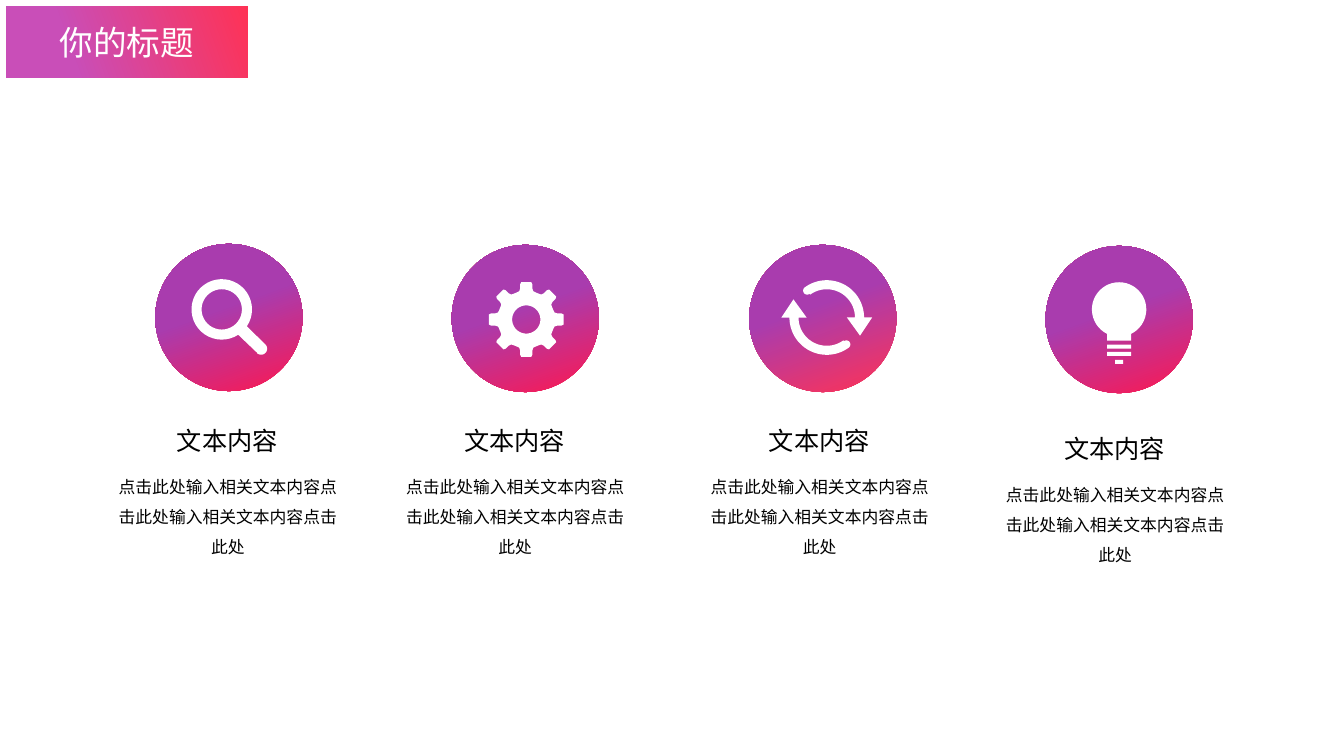
import math

from lxml import etree
from pptx import Presentation
from pptx import util as u
from pptx.dml.color import RGBColor
from pptx.enum import shapes, text
from pptx.oxml.ns import qn

WHITE = RGBColor(0xFF, 0xFF, 0xFF)
BLACK = RGBColor(0x00, 0x00, 0x00)
CORAL = RGBColor(0xFF, 0x32, 0x55)
CRIMSON = RGBColor(0xFD, 0x18, 0x50)
PURPLE = RGBColor(0xA9, 0x3C, 0xAE)
ORCHID = RGBColor(0xC9, 0x4E, 0xB8)

TITLE = "你的标题"
HEADING = "文本内容"
BODY = "点击此处输入相关文本内容点击此处输入相关文本内容点击此处"


def arc(center, radius, start, end, steps=40):
    angles = [math.radians(start + (end - start) * i / steps) for i in range(steps + 1)]
    return [(center[0] + radius * math.cos(a), center[1] + radius * math.sin(a))
            for a in angles]


def rotate(points, center, degrees):
    cos, sin = math.cos(math.radians(degrees)), math.sin(math.radians(degrees))
    return [(center[0] + x * cos - y * sin, center[1] + x * sin + y * cos)
            for x, y in points]


class SlideBuilder:
    """Draws styled elements on the current slide."""

    font = "Noto Sans CJK SC"

    def __init__(self, slide):
        self.slide = slide

    def gradient(self, shape, accent, base, stops):
        shape.fill.gradient()
        shape.fill.gradient_angle = 200
        stop_list = shape._element.spPr.find(qn("a:gradFill")).find(qn("a:gsLst"))
        for stop in list(stop_list):
            stop_list.remove(stop)
        for percent, color in zip((0, *stops), (accent, base, base)):
            stop = etree.SubElement(stop_list, qn("a:gs"), pos=str(percent * 1000))
            etree.SubElement(stop, qn("a:srgbClr"), val=str(color))

    def set_text(self, frame, words, size, color, spacing=1.0):
        frame.text = words
        para = frame.paragraphs[0]
        para.alignment = text.PP_ALIGN.CENTER
        para.line_spacing = spacing
        for span in para.runs:
            span.font.size = u.Pt(size)
            span.font.color.rgb = color
            span.font.name = self.font
            etree.SubElement(span._r.get_or_add_rPr(), qn("a:ea"), typeface=self.font)

    def title(self, words, left, top, width, height):
        box = self.slide.shapes.title
        box.left, box.top = u.Inches(left), u.Inches(top)
        box.width, box.height = u.Inches(width), u.Inches(height)
        self.gradient(box, CORAL, ORCHID, (73, 83))
        box.text_frame.vertical_anchor = text.MSO_ANCHOR.MIDDLE
        self.set_text(box.text_frame, words, 24, WHITE)

    def textbox(self, words, left, top, width, height, size, wrap, spacing=1.0):
        box = self.slide.shapes.add_textbox(*map(u.Inches, (left, top, width, height)))
        box.text_frame.word_wrap = wrap
        box.text_frame.auto_size = text.MSO_AUTO_SIZE.SHAPE_TO_FIT_TEXT
        self.set_text(box.text_frame, words, size, BLACK, spacing)

    def shape(self, kind, left, top, width, height):
        shape = self.slide.shapes.add_shape(
            kind, *map(u.Inches, (left, top, width, height)))
        return self.plain(shape)

    def plain(self, shape):
        shape.shadow.inherit = False
        shape.line.fill.background()
        shape.fill.solid()
        shape.fill.fore_color.rgb = WHITE
        return shape

    def disc(self, left, top, accent, stops):
        disc = self.shape(shapes.MSO_SHAPE.OVAL, left, top, 1.46, 1.46)
        disc.rotation = 90
        self.gradient(disc, accent, PURPLE, stops)

    def outline(self, *contours):
        contours = [[(u.Inches(x), u.Inches(y)) for x, y in points] for points in contours]
        builder = self.slide.shapes.build_freeform(*contours[0][0])
        for index, points in enumerate(contours):
            if index:
                builder.move_to(*points[0])
            builder.add_line_segments(points[1:], close=True)
        return self.plain(builder.convert_to_shape())

    def group(self, parts):
        self.slide.shapes.add_group_shape(parts)

    def magnifier(self):
        lens = (2.2, 3.07)
        handle = [(2.55, 3.5), *arc((2.59, 3.46), 0.06, 130, -45, 12)]
        self.outline(arc(lens, 0.3, 34, -303) + handle, arc(lens, 0.2, 0, 360))

    def gear(self):
        center = (5.22, 3.17)
        half = [(-0.09, -0.27), (-0.07, -0.28), (-0.06, -0.31), (-0.06, -0.35),
                (-0.05, -0.37), (-0.03, -0.37)]
        tooth = half + [(-x, y) for x, y in reversed(half)]
        rim = [point for i in range(8) for point in rotate(tooth, center, 45 * i)]
        self.outline(rim, arc(center, 0.14, 0, 360))

    def cycle(self):
        center, outer, middle, inner = (8.2, 3.15), 0.37, 0.33, 0.28
        cap = arc((0, 0), middle, 54, 54, 1)[0]
        arrow = (arc((0, 0), outer, 180, 54)
                 + arc(cap, 0.04, 54, -126, 12)
                 + arc((0, 0), inner, 54, 180)
                 + [(-0.2, 0), (-0.33, -0.18), (-0.45, 0)])
        self.group([self.outline(rotate(arrow, center, turn)) for turn in (0, 180)])

    def bulb(self):
        bars = [(11.06, 3.57, 0.08), (10.98, 3.42, 0.24), (10.98, 3.49, 0.24)]
        parts = [self.shape(shapes.MSO_SHAPE.RECTANGLE, left, top, width, 0.04)
                 for left, top, width in bars]
        glass = arc((11.1, 3.07), 0.27, 64, -244)
        parts.append(self.outline(glass + [(10.98, 3.38), (11.22, 3.38)]))
        self.group(parts)

    def caption(self, left, top):
        self.textbox(BODY, left, top + 0.41, 2.42, 0.97, 12, True, 1.5)
        self.textbox(HEADING, left + 0.6, top, 1.21, 0.4, 18, False)


def main():
    deck = Presentation()
    deck.slide_width, deck.slide_height = u.Inches(13.33), u.Inches(7.5)
    page = SlideBuilder(deck.slides.add_slide(deck.slide_layouts[5]))
    page.title(TITLE, 0.06, 0.06, 2.4, 0.71)
    columns = [
        (1.54, 2.42, CRIMSON, (56, 73), page.magnifier, 1.05, 4.17),
        (4.48, 2.43, CRIMSON, (56, 72), page.gear, 3.9, 4.17),
        (7.43, 2.43, CORAL, (58, 75), page.cycle, 6.92, 4.17),
        (10.37, 2.44, CRIMSON, (56, 76), page.bulb, 9.85, 4.25),
    ]
    for left, top, accent, stops, icon, text_left, text_top in columns:
        page.disc(left, top, accent, stops)
        icon()
        page.caption(text_left, text_top)
    deck.save("out.pptx")


if __name__ == "__main__":
    main()
